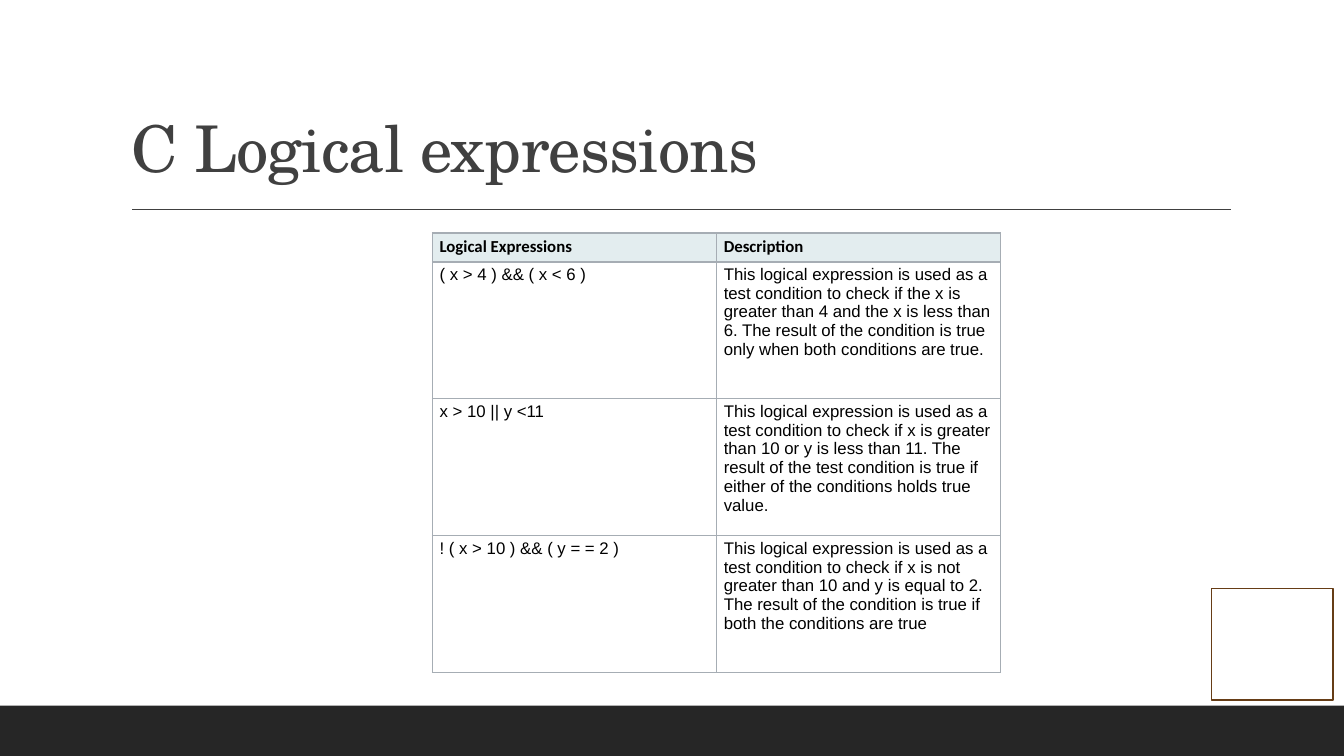
import pptx
import pptx.util
import pptx.dml.color
import pptx.enum.shapes
import pptx.enum.text
import pptx.oxml.ns
import lxml.etree

Cm = pptx.util.Cm
Pt = pptx.util.Pt

# Content
TITLE = "C Logical expressions"
ROWS = [
    ("Logical Expressions", "Description"),
    ("( x > 4 ) && ( x < 6 )",
     "This logical expression is used as a test condition to check if the x is "
     "greater than 4 and the x is less than 6. The result of the condition is true "
     "only when both conditions are true."),
    ("x > 10 || y <11",
     "This logical expression is used as a test condition to check if x is greater "
     "than 10 or y is less than 11. The result of the test condition is true if "
     "either of the conditions holds true value."),
    ("! ( x > 10 ) && ( y = = 2 )",
     "This logical expression is used as a test condition to check if x is not "
     "greater than 10 and y is equal to 2. The result of the condition is true if "
     "both the conditions are true"),
]

# Formats
TITLE_FONT = {"name": "TeX Gyre Schola", "size": Pt(46), "bold": False}
HEADER_FONT = {"name": "Calibri", "size": Pt(12), "bold": True}
BODY_FONT = {"name": "Arial", "size": Pt(12), "bold": False}
CELL_MARGINS = {"margin_left": Cm(0.18), "margin_right": Cm(0.18),
                "margin_top": Cm(0.08), "margin_bottom": Cm(0.08)}

# Sizes in centimetres
PAGE_WIDTH, PAGE_HEIGHT = 33.87, 19.05
BAR_HEIGHT = 1.27
TABLE_LEFT, TABLE_TOP = 10.9, 5.87
COLUMN_WIDTH, HEADER_HEIGHT, BODY_HEIGHT = 7.16, 0.73, 3.45


def color(value):
    return pptx.dml.color.RGBColor.from_string(value)


def set_all(target, values):
    for name, value in values.items():
        setattr(target, name, value)


def add_rectangle(page, left, top, width, height, fill=None, line=None):
    box = page.shapes.add_shape(pptx.enum.shapes.MSO_SHAPE.RECTANGLE,
                                Cm(left), Cm(top), Cm(width), Cm(height))
    box.shadow.inherit = False
    if fill:
        box.fill.solid()
        box.fill.fore_color.rgb = color(fill)
    else:
        box.fill.background()
    if line:
        box.line.color.rgb = color(line)
        box.line.width = Pt(1.25)
    else:
        box.line.fill.background()


def add_borders(cell, value):
    properties = cell._tc.get_or_add_tcPr()
    for position, side in enumerate(("lnL", "lnR", "lnT", "lnB")):
        border = lxml.etree.Element(pptx.oxml.ns.qn("a:" + side), w=str(Pt(1)))
        fill = lxml.etree.SubElement(border, pptx.oxml.ns.qn("a:solidFill"))
        lxml.etree.SubElement(fill, pptx.oxml.ns.qn("a:srgbClr"), val=value)
        properties.insert(position, border)


def add_title(page):
    title = page.shapes.title
    set_all(title, {"left": Cm(3.05), "top": Cm(0.79),
                    "width": Cm(27.94), "height": Cm(4.04)})
    title.text_frame.word_wrap = True
    title.text_frame.vertical_anchor = pptx.enum.text.MSO_ANCHOR.BOTTOM
    para = title.text_frame.paragraphs[0]
    para.alignment = pptx.enum.text.PP_ALIGN.LEFT
    para.line_spacing = 0.9
    span = para.add_run()
    span.text = TITLE
    set_all(span.font, TITLE_FONT)
    span.font.color.rgb = color("404040")
    span.font._element.set("spc", "-50")


def add_rule(page):
    rule = page.shapes.add_connector(pptx.enum.shapes.MSO_CONNECTOR.STRAIGHT,
                                     Cm(3.33), Cm(5.28), Cm(31.01), Cm(5.28))
    rule.line.color.rgb = color("404040")
    rule.line.width = Pt(1)
    lxml.etree.SubElement(rule._element.spPr, pptx.oxml.ns.qn("a:effectLst"))


def add_expression_table(page):
    heights = [HEADER_HEIGHT] + [BODY_HEIGHT] * (len(ROWS) - 1)
    table = page.shapes.add_table(
        len(ROWS), 2, Cm(TABLE_LEFT), Cm(TABLE_TOP),
        Cm(2 * COLUMN_WIDTH), Cm(sum(heights))).table
    table.horz_banding = False
    for column in table.columns:
        column.width = Cm(COLUMN_WIDTH)
    for index, texts in enumerate(ROWS):
        table.rows[index].height = Cm(heights[index])
        for cell, text in zip(table.rows[index].cells, texts):
            set_all(cell, CELL_MARGINS)
            cell.fill.solid()
            cell.fill.fore_color.rgb = color("FFFFFF" if index else "E3EDEF")
            add_borders(cell, "A6ADB4")
            span = cell.text_frame.paragraphs[0].add_run()
            span.text = text
            set_all(span.font, BODY_FONT if index else HEADER_FONT)
            span.font.color.rgb = color("000000")


def main():
    deck = pptx.Presentation()
    deck.slide_width, deck.slide_height = Cm(PAGE_WIDTH), Cm(PAGE_HEIGHT)
    page = deck.slides.add_slide(deck.slide_layouts[5])

    # Footer bar, rule and corner frame
    add_rectangle(page, 0, PAGE_HEIGHT - BAR_HEIGHT, PAGE_WIDTH, BAR_HEIGHT,
                  fill="262626")
    add_rule(page)
    add_rectangle(page, 30.53, 14.83, 3.07, 2.82, line="663D16")

    # Title and table
    add_title(page)
    add_expression_table(page)
    deck.save("out.pptx")


if __name__ == "__main__":
    main()
